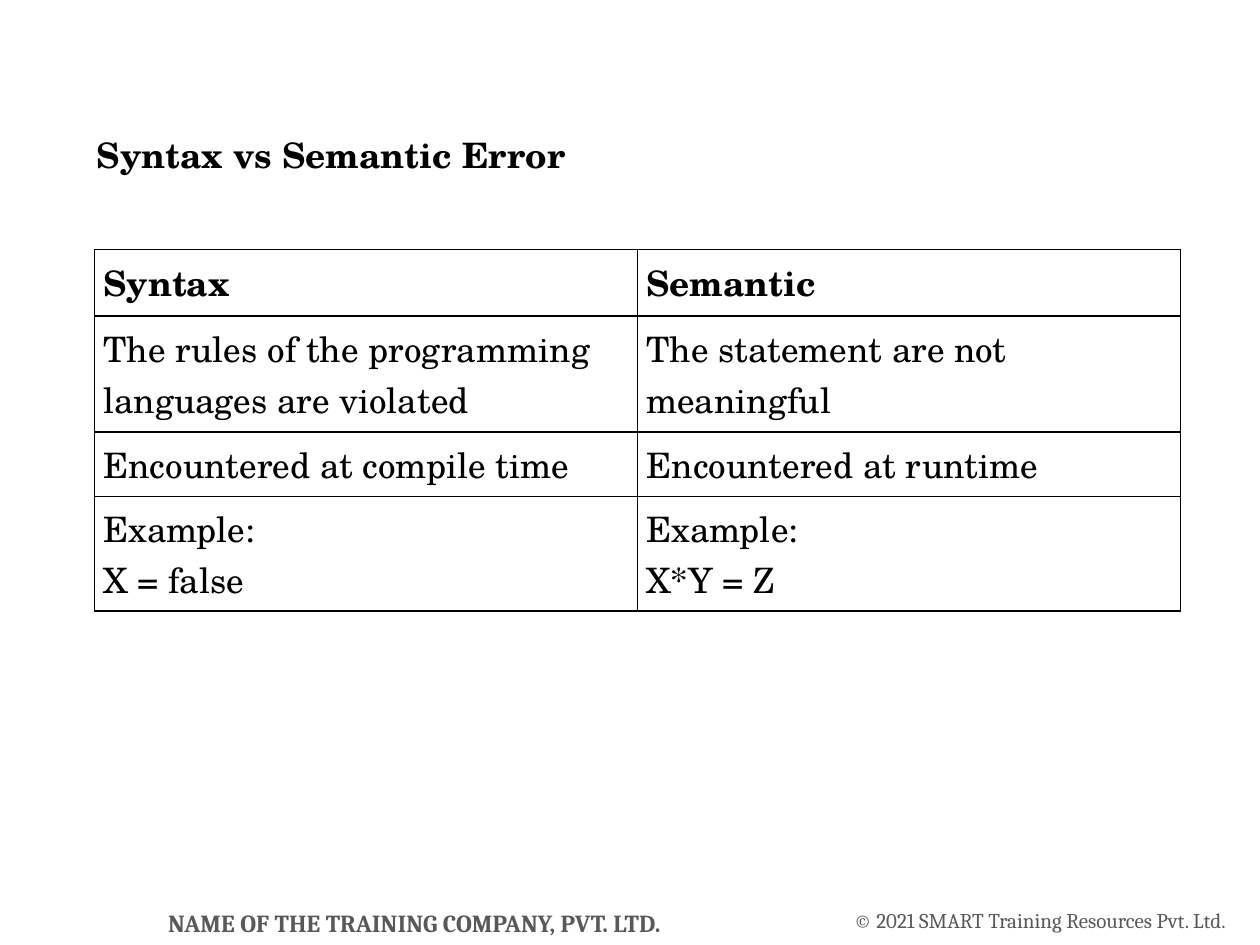
from dataclasses import dataclass

from lxml.etree import SubElement
from pptx import Presentation
from pptx.dml.color import RGBColor
from pptx.enum.text import MSO_ANCHOR, PP_ALIGN
from pptx.oxml.ns import qn
from pptx.util import Inches, Pt


@dataclass(frozen=True)
class Theme:
    ink: str = "000000"
    gray: str = "595959"
    main: str = "TeX Gyre Schola"
    foot: str = "Cambria"
    body: int = 20
    firm: int = 14
    note: int = 12
    line: int = 1


@dataclass(frozen=True)
class Label:
    text: str
    box: tuple[float, float, float, float]
    font: dict
    inset: tuple[float, float] = (0, 0)
    align: PP_ALIGN = PP_ALIGN.CENTER
    wrap: bool = True


THEME = Theme()


def style(name: str, size: int, color: str, bold: bool = False) -> dict:
    return {"name": name, "size": Pt(size), "bold": bold, "color": color}


def format_font(font, values: dict) -> None:
    for key, value in values.items():
        if key == "color":
            font.color.rgb = RGBColor.from_string(value)
        else:
            setattr(font, key, value)


def set_inset(part, x: float, y: float) -> None:
    for side, size in {"left": x, "right": x, "top": y, "bottom": y}.items():
        setattr(part, f"margin_{side}", Inches(size))


def add_label(slide, label: Label) -> None:
    frame = slide.shapes.add_textbox(*map(Inches, label.box)).text_frame
    frame.word_wrap = label.wrap
    frame.vertical_anchor = MSO_ANCHOR.MIDDLE
    set_inset(frame, *label.inset)
    par = frame.paragraphs[0]
    par.text = label.text
    par.alignment = label.align
    format_font(par.font, label.font)


def add_border(cell) -> None:
    props = cell._tc.get_or_add_tcPr()
    for spot, side in enumerate(("lnL", "lnR", "lnT", "lnB")):
        line = props.makeelement(qn(f"a:{side}"), {"w": str(Pt(THEME.line))})
        fill = SubElement(line, qn("a:solidFill"))
        SubElement(fill, qn("a:srgbClr"), val=THEME.ink)
        props.insert(spot, line)


def add_grid(slide, rows: list, highs: list[float],
             left: float, top: float, width: float) -> None:
    cols = len(rows[0])
    table = slide.shapes.add_table(
        len(rows), cols, *map(Inches, (left, top, width, sum(highs)))).table
    table.horz_banding = False
    for col in table.columns:
        col.width = Inches(width / cols)
    for r, (texts, high) in enumerate(zip(rows, highs)):
        table.rows[r].height = Inches(high)
        for c, text in enumerate(texts):
            cell = table.cell(r, c)
            cell.text = text
            cell.fill.background()
            set_inset(cell, 0.07, 0.05)
            for par in cell.text_frame.paragraphs:
                format_font(par.font, style(THEME.main, THEME.body, THEME.ink, r == 0))
            add_border(cell)


LABELS = [
    # Footer
    Label("NAME OF THE TRAINING COMPANY, PVT. LTD.", (0.83, 7.2, 4.92, 0.24),
          style(THEME.foot, THEME.firm, THEME.gray, True)),
    Label(" © 2021 SMART Training Resources Pvt. Ltd.", (6.64, 7.2, 3.19, 0.2),
          style(THEME.foot, THEME.note, THEME.gray), wrap=False),
    # Title
    Label("Syntax vs Semantic Error", (0.67, 1, 5.89, 0.46),
          style(THEME.main, THEME.body, THEME.ink, True),
          (0.1, 0.05), PP_ALIGN.LEFT),
]

ROWS = [
    ("Syntax", "Semantic"),
    ("The rules of the programming languages are violated",
     "The statement are not meaningful"),
    ("Encountered at compile time", "Encountered at runtime"),
    ("Example:\nX = false", "Example:\nX*Y = Z"),
]


def main() -> None:
    deck = Presentation()
    deck.slide_width, deck.slide_height = Inches(10), Inches(7.5)
    slide = deck.slides.add_slide(deck.slide_layouts[6])
    for label in LABELS:
        add_label(slide, label)
    # Comparison table
    add_grid(slide, ROWS, [0.53, 0.92, 0.51, 0.91], 0.75, 1.98, 8.62)
    deck.save("out.pptx")


if __name__ == "__main__":
    main()
